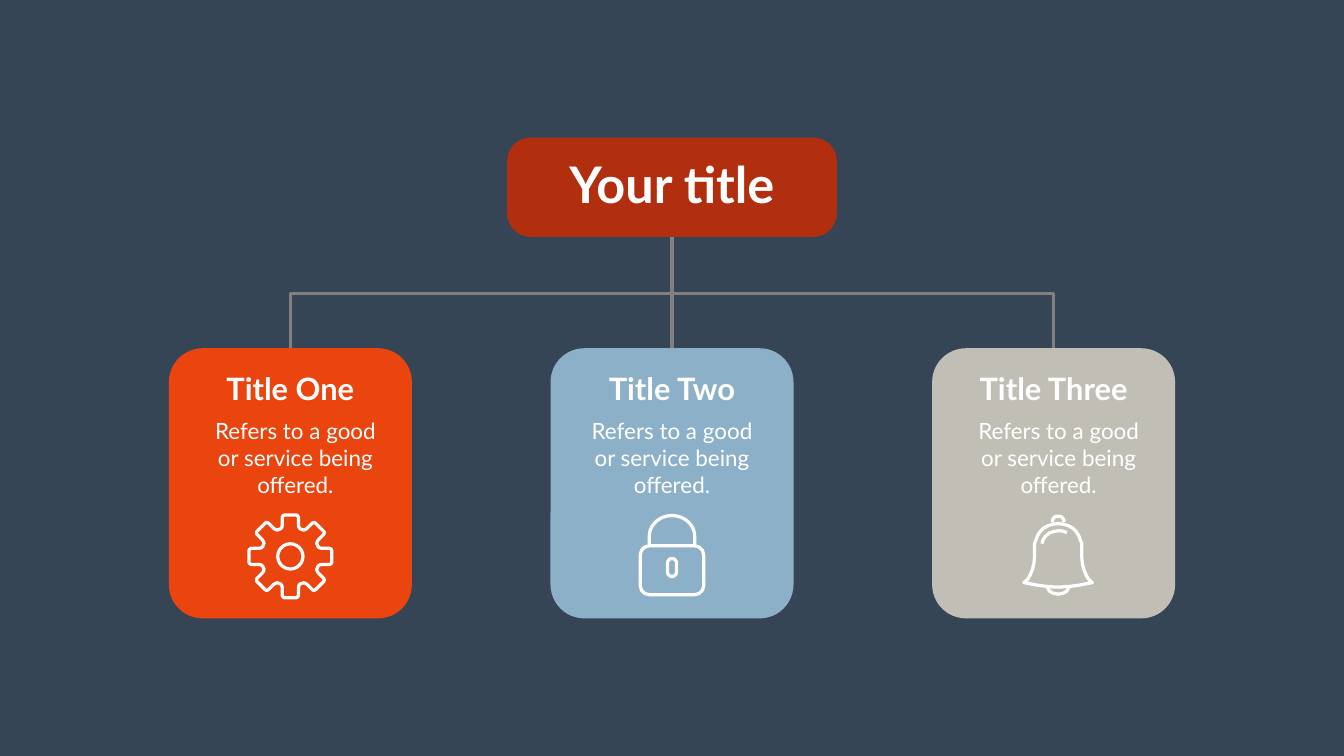
import math
from dataclasses import dataclass
from lxml import etree
from pptx import Presentation, util as u
from pptx.dml.color import RGBColor
from pptx.enum import shapes as kinds, text as t
from pptx.oxml.ns import qn


@dataclass(frozen=True)
class Theme:
    font: str = "Lato"
    back: str = "364556"
    banner: str = "B12E0E"
    rule: str = "808080"
    ink: str = "FFFFFF"
    title: int = 72
    heading: int = 44
    body: int = 32
    stroke: float = 4.62


THEME = Theme()
WIDTH, HEIGHT = 26.66, 15
TITLE = "Your title"
CARDS = [
    {"heading": "Title One", "body": "Refers to a good or service being offered.",
     "fill": "EA450F", "icon": "gear", "nudge": 0.1},
    {"heading": "Title Two", "body": "Refers to a good or service being offered.",
     "fill": "8CB0C7", "icon": "lock", "nudge": 0},
    {"heading": "Title Three", "body": "Refers to a good or service being offered.",
     "fill": "C1BFB5", "icon": "bell", "nudge": 0.1},
]

MIDDLE = WIDTH / 2
PITCH = 7.57
BANNER_TOP, BANNER_WIDTH, BANNER_HEIGHT = 2.73, 6.54, 1.97
BUS_TOP = 5.83
CARD_TOP, CARD_WIDTH, CARD_HEIGHT = 6.91, 4.82, 5.36
ICON_MIDDLE = 11.04

TOOTH_HALF = [(0.12, 0.82), (0.14, 0.81), (0.16, 0.78), (0.16, 0.62), (0.17, 0.58), (0.19, 0.55)]
BELL_HALF = [(0, -0.65), (0.1, -0.64), (0.2, -0.61), (0.29, -0.56), (0.36, -0.49), (0.41, -0.41),
             (0.44, -0.33), (0.47, -0.25), (0.47, 0.02), (0.48, 0.14), (0.51, 0.26),
             (0.56, 0.38), (0.61, 0.46), (0.68, 0.52), (0.42, 0.57), (0.2, 0.6), (0, 0.61)]
KNOB_HALF = [(0, -0.8), (0.06, -0.79), (0.1, -0.75), (0.12, -0.68)]
CLAPPER_HALF = [(0, 0.75), (0.1, 0.73), (0.17, 0.69), (0.22, 0.61)]
SHINE = [(-0.32, -0.25), (-0.3, -0.33), (-0.25, -0.4), (-0.18, -0.46), (-0.1, -0.49),
         (0, -0.51), (0.1, -0.5), (0.17, -0.47)]


def color(code):
    return RGBColor.from_string(code)


def paint(shape, fill=None, line=None):
    shape.shadow.inherit = False
    if fill:
        shape.fill.solid()
        shape.fill.fore_color.rgb = color(fill)
    else:
        shape.fill.background()
    if line:
        shape.line.color.rgb = color(line)
        shape.line.width = u.Pt(THEME.stroke)
    else:
        shape.line.fill.background()


def add_box(page, center, top, width, height, radius=None, **paints):
    kind = kinds.MSO_SHAPE.OVAL if radius is None else kinds.MSO_SHAPE.ROUNDED_RECTANGLE
    box = page.shapes.add_shape(kind, u.Inches(center - width / 2), u.Inches(top),
                                u.Inches(width), u.Inches(height))
    if radius is not None:
        box.adjustments[0] = radius / min(width, height)
    paint(box, **paints)
    return box


def add_outline(page, points, closed=False, center=0, middle=0, line=THEME.ink):
    placed = [(u.Inches(center + x), u.Inches(middle + y)) for x, y in points]
    builder = page.shapes.build_freeform(*placed[0])
    builder.add_line_segments(placed[1:], close=closed)
    paint(builder.convert_to_shape(), line=line)


def mirror(half):
    return [(-x, y) for x, y in reversed(half) if x] + half


def write(box, words, size, center, top, width, height, bold=False, wrap=False):
    box.left, box.top = u.Inches(center - width / 2), u.Inches(top)
    box.width, box.height = u.Inches(width), u.Inches(height)
    frame = box.text_frame
    frame.text = words
    frame.word_wrap = wrap
    frame.auto_size = t.MSO_AUTO_SIZE.SHAPE_TO_FIT_TEXT
    frame.vertical_anchor = t.MSO_ANCHOR.TOP
    para = frame.paragraphs[0]
    para.alignment = t.PP_ALIGN.CENTER
    para.font.name, para.font.size, para.font.bold = THEME.font, u.Pt(size), bold
    para.font.color.rgb = color(THEME.ink)


def draw_gear(page, center):
    outline = []
    for index in range(8):
        turn = index * math.pi / 4
        outline += [(x * math.cos(turn) + y * math.sin(turn),
                     x * math.sin(turn) - y * math.cos(turn)) for x, y in mirror(TOOTH_HALF)]
    add_outline(page, outline, True, center, ICON_MIDDLE)
    add_box(page, center, ICON_MIDDLE - 0.25, 0.5, 0.5, line=THEME.ink)


def draw_lock(page, center):
    arch = [(-0.45 * math.cos(math.pi * step / 24), -0.4 - 0.41 * math.sin(math.pi * step / 24))
            for step in range(25)]
    add_outline(page, [(-0.45, -0.21), *arch, (0.45, -0.21)], False, center, ICON_MIDDLE)
    add_box(page, center, ICON_MIDDLE - 0.21, 1.26, 0.97, 0.18, line=THEME.ink)
    add_box(page, center, ICON_MIDDLE + 0.04, 0.18, 0.36, 0.09, line=THEME.ink)


def draw_bell(page, center):
    shifted = center + 0.09
    add_outline(page, mirror(BELL_HALF), True, shifted, ICON_MIDDLE)
    for strokes in (mirror(KNOB_HALF), mirror(CLAPPER_HALF), SHINE):
        add_outline(page, strokes, False, shifted, ICON_MIDDLE)


ICONS = {"gear": draw_gear, "lock": draw_lock, "bell": draw_bell}


def add_card(page, card, center):
    box = add_box(page, center, CARD_TOP, CARD_WIDTH, CARD_HEIGHT, 0.67, fill=card["fill"])
    ICONS[card["icon"]](page, center)
    heading = page.shapes.add_textbox(0, 0, 0, 0)
    write(heading, card["heading"], THEME.heading, center, 7.29, 3.2, 0.84, bold=True)
    body = page.shapes.add_textbox(0, 0, 0, 0)
    write(body, card["body"], THEME.body, center + card["nudge"], 8.23, 3.41, 1.72, wrap=True)
    return box


def main():
    deck = Presentation()
    deck.slide_width, deck.slide_height = u.Inches(WIDTH), u.Inches(HEIGHT)
    page = deck.slides.add_slide(deck.slide_layouts[5])
    page.background.fill.solid()
    page.background.fill.fore_color.rgb = color(THEME.back)

    centers = [MIDDLE + (index - 1) * PITCH for index in range(len(CARDS))]
    left, right = centers[0], centers[-1]
    add_outline(page, [(left, CARD_TOP), (left, BUS_TOP), (right, BUS_TOP), (right, CARD_TOP)],
                line=THEME.rule)
    banner = add_box(page, MIDDLE, BANNER_TOP, BANNER_WIDTH, BANNER_HEIGHT, 0.47, fill=THEME.banner)
    boxes = [add_card(page, card, center) for card, center in zip(CARDS, centers)]

    stem = page.shapes.add_connector(kinds.MSO_CONNECTOR.STRAIGHT, 0, 0, 0, 0)
    stem.begin_connect(banner, 2)
    stem.end_connect(boxes[1], 0)
    stem.line.color.rgb = color(THEME.rule)
    stem.line.width = u.Pt(THEME.stroke)
    etree.SubElement(stem._element.spPr, qn("a:effectLst"))

    title = page.shapes.title
    write(title, TITLE, THEME.title, MIDDLE, 2.98, 4.46, 1.31, bold=True)
    page.shapes._spTree.append(title._element)
    deck.save("out.pptx")


if __name__ == "__main__":
    main()
